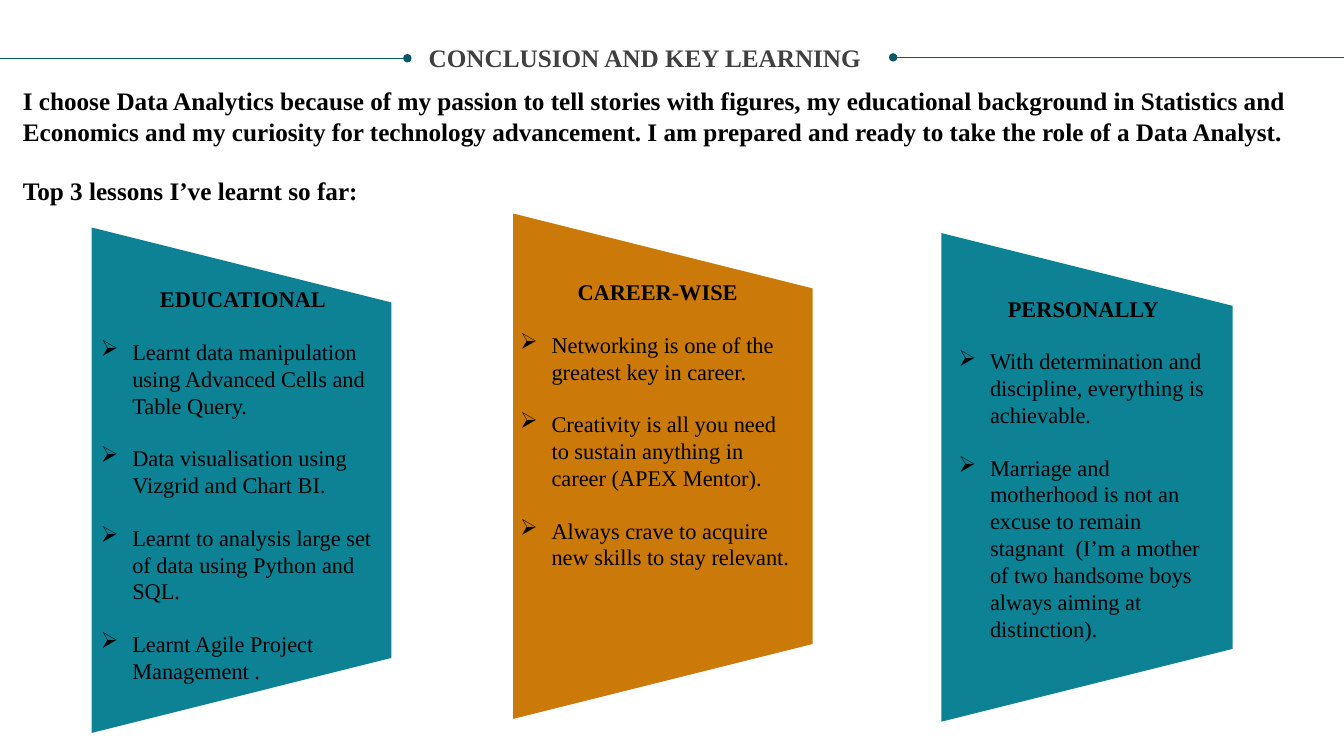
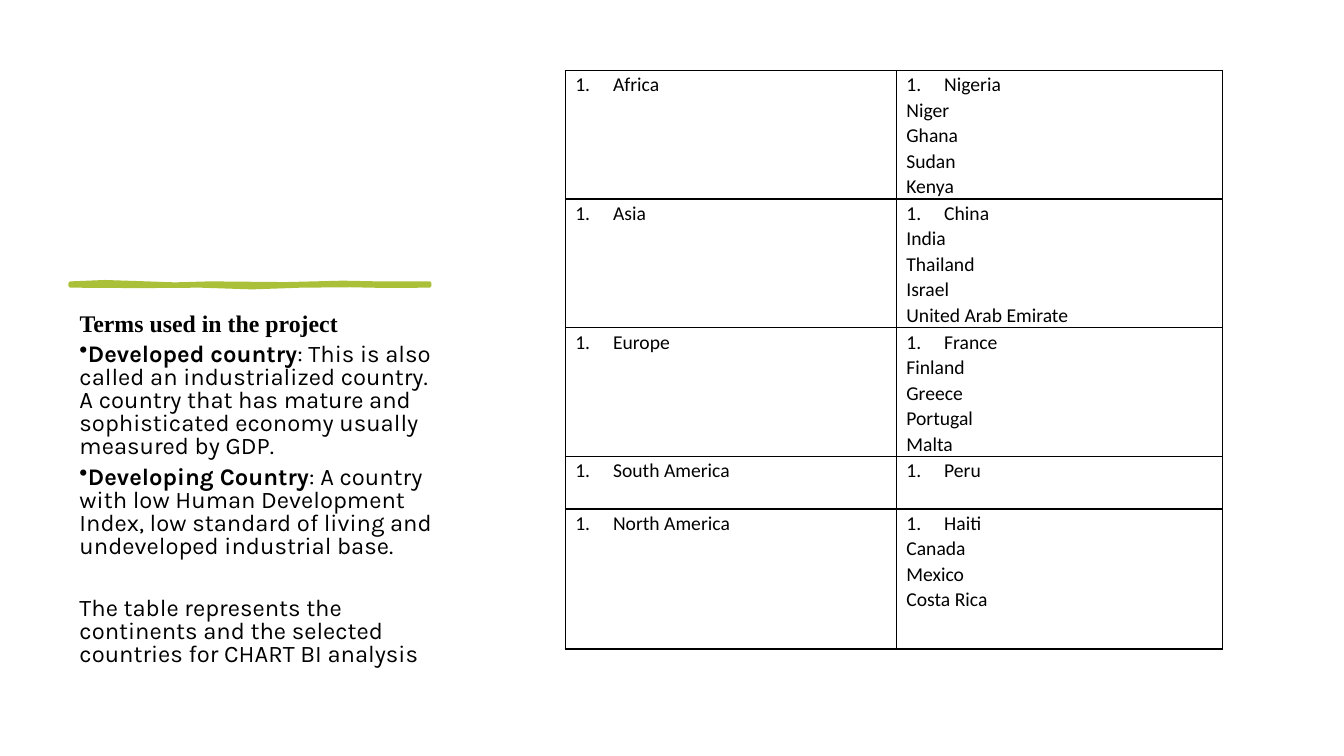
from dataclasses import dataclass

from lxml import etree
from pptx import Presentation
from pptx import util as u
from pptx.dml import color
from pptx.enum import shapes, text
from pptx.oxml import ns

Pt = u.Pt


@dataclass(frozen=True)
class Theme:
    ink: str = "000000"
    title: str = "404040"
    rule: str = "085764"
    teal: str = "0D8295"
    orange: str = "CB7A09"
    lime: str = "A9C038"
    serif: str = "Times New Roman"
    sans: str = "Karla"
    table: str = "Calibri"
    title_size: float = 18
    lesson_size: float = 16
    term_size: float = 17
    table_size: float = 14


THEME = Theme()
WIDTH, HEIGHT = 960, 540


@dataclass(frozen=True)
class Box:
    left: float
    top: float
    width: float
    height: float

    def lengths(self) -> tuple:
        return Pt(self.left), Pt(self.top), Pt(self.width), Pt(self.height)


@dataclass(frozen=True)
class Style:
    font: str
    size: float
    colour: str = THEME.ink
    bold: bool = False


@dataclass(frozen=True)
class Lesson:
    heading: str
    items: tuple[str, ...]
    panel: Box
    words: Box
    fill: str


@dataclass(frozen=True)
class Term:
    name: str
    meaning: str


@dataclass(frozen=True)
class Continent:
    name: str
    countries: tuple[str, ...]
    height: float


LESSONS = (
    Lesson("EDUCATIONAL",
           ("Learnt data manipulation using Advanced Cells and Table Query.",
            "Data visualisation using Vizgrid and Chart BI.",
            "Learnt to analysis large set of data using Python and SQL.",
            "Learnt Agile Project Management ."),
           Box(-8, 236, 361, 214), Box(72, 203.8, 203, 327), THEME.teal),
    Lesson("CAREER-WISE",
           ("Networking is one of the greatest key in career.",
            "Creativity is all you need to sustain anything in career (APEX Mentor).",
            "Always crave to acquire new skills to stay relevant."),
           Box(293, 226, 361, 214), Box(371.5, 198.7, 196.6, 305), THEME.orange),
    Lesson("PERSONALLY",
           ("With determination and discipline, everything is achievable.",
            "Marriage and motherhood is not an excuse to remain stagnant  "
            "(I’m a mother of two handsome boys always aiming at distinction)."),
           Box(602, 237, 349, 208), Box(684.7, 210.5, 178, 276), THEME.teal),
)

TERMS = (
    Term("Developed country",
         ": This is also called an industrialized country. A country that has "
         "mature and sophisticated economy usually measured by GDP."),
    Term("Developing Country",
         ": A country with low Human Development Index, low standard of living "
         "and undeveloped industrial base."),
)

CONTINENTS = (
    Continent("Africa", ("Nigeria", "Niger", "Ghana", "Sudan", "Kenya"), 92),
    Continent("Asia", ("China", "India", "Thailand", "Israel", "United Arab Emirate"), 92),
    Continent("Europe", ("France", "Finland", "Greece", "Portugal", "Malta"), 92),
    Continent("South America", ("Peru",), 37.5),
    Continent("North America", ("Haiti", "Canada", "Mexico", "Costa Rica"), 100),
)

BRUSH_STROKE = (
    (50.4, 202.5), (75, 201.5), (99, 202.3), (125, 203.2), (150, 202.5),
    (204, 203), (245, 202), (270, 202.5), (306.7, 202.5),
    (306.7, 204), (275, 204.2), (250, 203.7), (215, 204), (180, 205.2),
    (143, 204), (100, 204.3), (50.4, 204),
)


def rgb(value: str) -> color.RGBColor:
    return color.RGBColor.from_string(value)


def format_span(span, style: Style) -> None:
    span.font.name = style.font
    span.font.size = Pt(style.size)
    span.font.bold = style.bold
    span.font.color.rgb = rgb(style.colour)


def write(para, words: str, style: Style) -> None:
    para.text = words
    for span in para.runs:
        format_span(span, style)


def next_para(frame, first: bool):
    return frame.paragraphs[0] if first else frame.add_paragraph()


def hang(para, left: float, hanging: float, tag: str = "", **attributes: str) -> None:
    properties = para._p.get_or_add_pPr()
    properties.set("marL", str(Pt(left)))
    properties.set("indent", str(-Pt(hanging)))
    if tag:
        etree.SubElement(properties, ns.qn(tag), **attributes)


def prepare_frame(frame, inset: tuple[float, float] = (7.2, 3.6)) -> None:
    frame.word_wrap = True
    frame.auto_size = text.MSO_AUTO_SIZE.NONE
    frame.vertical_anchor = text.MSO_ANCHOR.TOP
    frame.margin_left = frame.margin_right = Pt(inset[0])
    frame.margin_top = frame.margin_bottom = Pt(inset[1])


def add_text_box(page, box: Box, inset: tuple[float, float] = (7.2, 3.6)):
    frame = page.shapes.add_textbox(*box.lengths()).text_frame
    prepare_frame(frame, inset)
    return frame


def set_title(page, box: Box, words: str, style: Style):
    title = page.shapes.title
    title.left, title.top, title.width, title.height = box.lengths()
    prepare_frame(title.text_frame)
    para = title.text_frame.paragraphs[0]
    write(para, words, style)
    para.alignment = text.PP_ALIGN.LEFT
    return para


def add_title_rule(page, dot_x: float, edge_x: float, y: float) -> None:
    rule = page.shapes.add_connector(
        shapes.MSO_CONNECTOR.STRAIGHT, Pt(dot_x), Pt(y), Pt(edge_x), Pt(y))
    rule.line.color.rgb = rgb(THEME.rule)
    rule.line.width = Pt(0.5)
    etree.SubElement(rule.line._get_or_add_ln(), ns.qn("a:headEnd"), type="oval")
    etree.SubElement(rule._element.spPr, ns.qn("a:effectLst"))


def add_panel(page, lesson: Lesson) -> None:
    panel = page.shapes.add_shape(
        shapes.MSO_SHAPE.TRAPEZOID, *lesson.panel.lengths())
    panel.rotation = 90
    panel.shadow.inherit = False
    panel.fill.solid()
    panel.fill.fore_color.rgb = rgb(lesson.fill)
    panel.line.fill.background()


def add_lesson_text(page, lesson: Lesson) -> None:
    gap = Pt(18.4)
    frame = add_text_box(page, lesson.words, (0, 0))
    heading = frame.paragraphs[0]
    write(heading, lesson.heading, Style(THEME.serif, THEME.lesson_size, bold=True))
    heading.alignment = text.PP_ALIGN.CENTER
    heading.space_after = gap
    for item in lesson.items:
        para = frame.add_paragraph()
        write(para, item, Style(THEME.serif, THEME.lesson_size))
        if item != lesson.items[-1]:
            para.space_after = gap
        hang(para, 22.5, 22.5, "a:buChar", char="➢")


def build_conclusion(page) -> None:
    intro_style = Style(THEME.serif, THEME.title_size, bold=True)
    intro = add_text_box(page, Box(9.2, 57.6, 929, 94))
    write(intro.paragraphs[0],
          "I choose Data Analytics because of my passion to tell stories with "
          "figures, my educational background in Statistics and Economics and my "
          "curiosity for technology advancement. I am prepared and ready to take "
          "the role of a Data Analyst.", intro_style)
    intro.paragraphs[0].space_after = Pt(21)
    write(intro.add_paragraph(), "Top 3 lessons I’ve learnt so far:", intro_style)
    set_title(page, Box(299, 26.8, 333, 29), "CONCLUSION AND KEY LEARNING",
              Style(THEME.serif, THEME.title_size, THEME.title, True))
    add_title_rule(page, 638, WIDTH, 41)
    add_title_rule(page, 291, 0, 41.6)
    for lesson in LESSONS:
        add_panel(page, lesson)
    for lesson in LESSONS:
        add_lesson_text(page, lesson)


def add_brush_stroke(page) -> None:
    points = [(Pt(x), Pt(y)) for x, y in BRUSH_STROKE]
    builder = page.shapes.build_freeform(*points[0])
    builder.add_line_segments(points[1:], close=True)
    stroke = builder.convert_to_shape()
    stroke.shadow.inherit = False
    stroke.fill.solid()
    stroke.fill.fore_color.rgb = rgb(THEME.lime)
    stroke.line.color.rgb = rgb(THEME.lime)
    stroke.line.width = Pt(3)


def add_terms(page) -> None:
    plain = Style(THEME.sans, THEME.term_size)
    frame = add_text_box(page, Box(49.7, 242.7, 270, 247))
    for index, term in enumerate(TERMS):
        para = next_para(frame, index == 0)
        write(para, term.name, Style(THEME.sans, THEME.term_size, bold=True))
        span = para.add_run()
        span.text = term.meaning
        format_span(span, plain)
        hang(para, 0, 18, "a:buChar", char="•")
    closing = frame.add_paragraph()
    write(closing, "The table represents the continents and the selected "
                   "countries for CHART BI analysis", plain)
    closing.space_before = Pt(22)
    for para in frame.paragraphs:
        para.line_spacing = 0.8
        para.space_after = Pt(6)


def add_borders(cell) -> None:
    properties = cell._tc.get_or_add_tcPr()
    for index, side in enumerate(("a:lnL", "a:lnR", "a:lnT", "a:lnB")):
        line = etree.Element(ns.qn(side), w=str(Pt(1)))
        fill = etree.SubElement(line, ns.qn("a:solidFill"))
        etree.SubElement(fill, ns.qn("a:srgbClr"), val=THEME.ink)
        properties.insert(index, line)


def fill_cell(cell, lines: tuple[str, ...]) -> None:
    cell.fill.background()
    add_borders(cell)
    cell.margin_left = cell.margin_right = Pt(7.2)
    cell.margin_top, cell.margin_bottom = Pt(0.7), Pt(0)
    for index, words in enumerate(lines):
        para = next_para(cell.text_frame, index == 0)
        write(para, words, Style(THEME.table, THEME.table_size))
        para.line_spacing = 1.07
        if index == 0:
            hang(para, 27, 27, "a:buAutoNum", type="arabicPeriod")
        else:
            hang(para, 27, 27, "a:buNone")


def add_continents(page) -> None:
    widths = (236.5, 233)
    box = Box(403.7, 50.2, sum(widths), sum(row.height for row in CONTINENTS))
    table = page.shapes.add_table(len(CONTINENTS), len(widths), *box.lengths()).table
    table.first_row = table.horz_banding = False
    for column, width in zip(table.columns, widths):
        column.width = Pt(width)
    for index, continent in enumerate(CONTINENTS):
        table.rows[index].height = Pt(continent.height)
        fill_cell(table.cell(index, 0), (continent.name,))
        fill_cell(table.cell(index, 1), continent.countries)


def build_terms(page) -> None:
    add_brush_stroke(page)
    heading = set_title(page, Box(49.7, 221, 270, 24), "Terms used in the project",
                        Style(THEME.serif, THEME.term_size, bold=True))
    heading.line_spacing = 0.8
    add_terms(page)
    add_continents(page)


def main() -> None:
    deck = Presentation()
    deck.slide_width, deck.slide_height = Pt(WIDTH), Pt(HEIGHT)
    title_only = deck.slide_layouts[5]
    for build in (build_conclusion, build_terms):
        build(deck.slides.add_slide(title_only))
    deck.save("out.pptx")


if __name__ == "__main__":
    main()
